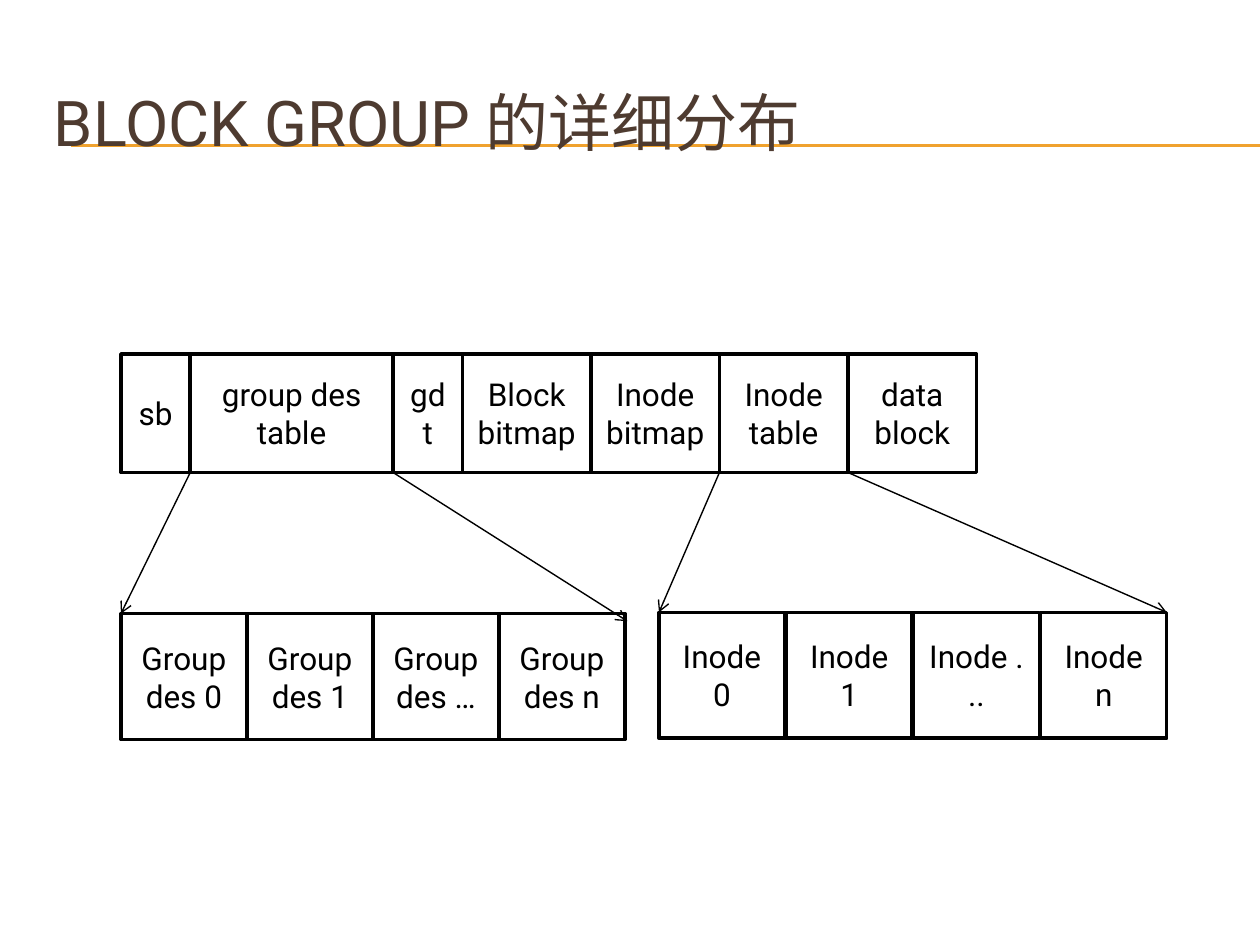
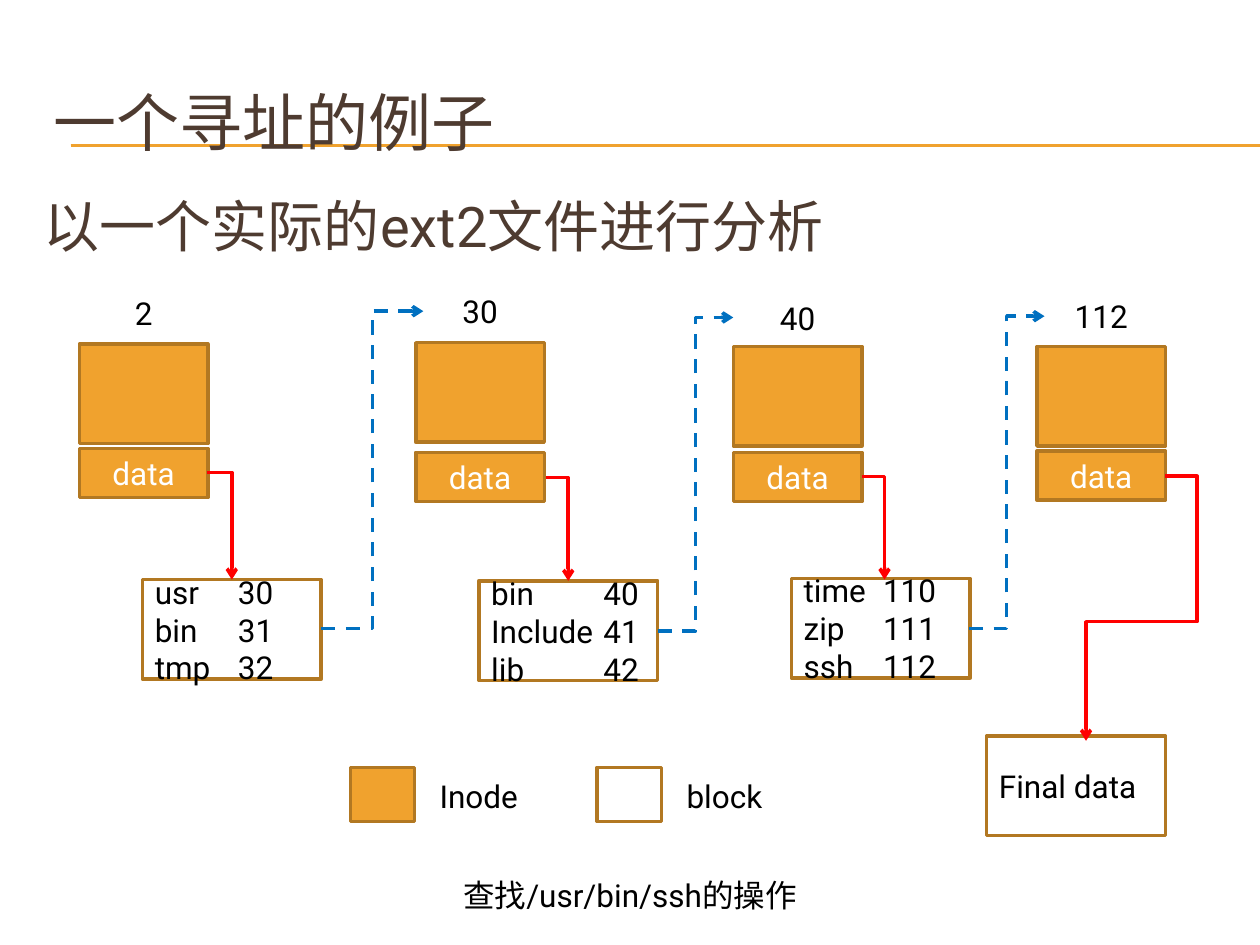
from itertools import accumulate

from lxml.etree import SubElement
from pptx import Presentation
from pptx.dml.color import RGBColor as RGB
from pptx.enum.dml import MSO_LINE
from pptx.enum.shapes import MSO_CONNECTOR as Conn, MSO_SHAPE as Shape
from pptx.enum.text import MSO_ANCHOR as Anchor, PP_ALIGN as Align
from pptx.oxml.ns import qn
from pptx.util import Inches, Pt

# ---- Content ----
BLOCK_GROUP = {
    "title": "BLOCK GROUP 的详细分布",
    "layout": [("sb", 0.55), ("group des table", 1.61), ("gdt", 0.55),
               ("Block bitmap", 1.02), ("Inode bitmap", 1.02),
               ("Inode table", 1.02), ("data block", 1.02)],
    # x, y, pitch, labels
    "details": [
        (0.96, 4.87, 1, ["Group des 0", "Group des 1", "Group des …", "Group des n"]),
        (5.23, 4.86, 1.01, ["Inode 0", "Inode 1", "Inode ...", "Inode n"]),
    ],
    # index of the expanded part, arrow tips on its left and right
    "expansions": [(1, (0.96, 4.87), (4.98, 4.93)),
                   (5, (5.23, 4.86), (9.26, 4.86))],
}
LOOKUP = {
    "title": "一个寻址的例子",
    "body": "以一个实际的ext2文件进行分析",
    "caption": "查找/usr/bin/ssh的操作",
    # inode number, x, top of number, inode and data field
    "inodes": [("2", 0.63, 2.28, 2.73, 3.56), ("30", 3.3, 2.27, 2.72, 3.59),
               ("40", 5.82, 2.32, 2.75, 3.59), ("112", 8.23, 2.31, 2.75, 3.58)],
    # x, y, tab stop, directory entries
    "blocks": [
        (1.13, 4.6, 0.66, [("usr", "30"), ("bin", "31"), ("tmp", "32")]),
        (3.8, 4.61, 0.89, [("bin", "40"), ("Include", "41"), ("lib", "42")]),
        (6.28, 4.59, 0.63, [("time", "110"), ("zip", "111"), ("ssh", "112")]),
    ],
    # red pointers: data field to block
    "pointers": [((1.64, 3.75), (1.84, 4.6)), ((4.33, 3.79), (4.51, 4.61)),
                 ((6.84, 3.78), (7.02, 4.6))],
    # blue jumps: directory entry to the next inode number
    "jumps": [((2.55, 4.99), (3.36, 2.47)), ((5.22, 5.01), (5.82, 2.52)),
              ((7.69, 4.99), (8.29, 2.51))],
    "final": ("Final data", 7.83, 5.84),
    "final_pointer": ((9.25, 3.78), (8.62, 5.88)),
    "legend": [("Inode", 2.78, "accent"), ("block", 4.74, "white")],
}


# ---- Theme ----
class Theme:
    font = "Roboto"
    title, body, text = 36, 32, 18
    box_line, arrow_line, rule_line = 2, 0.79, 0.75
    color = {name: RGB.from_string(code) for name, code in {
        "accent": "F0A22E", "edge": "B27822", "heading": "4E3B30",
        "black": "000000", "white": "FFFFFF", "red": "FF0000", "blue": "0070C0",
    }.items()}


INODE_W, INODE_H, DATA_H = 1.02, 0.79, 0.39
BLOCK_W, BLOCK_H = 1.42, 0.79


# ---- Helpers ----
def write(sp, lines, size=Theme.text, color="black", align=Align.LEFT,
          anchor=Anchor.MIDDLE, tab=None):
    tf = sp.text_frame
    for name, value in {"word_wrap": True, "vertical_anchor": anchor}.items():
        setattr(tf, name, value)
    for i, line in enumerate(lines):
        p = tf.paragraphs[0] if i == 0 else tf.add_paragraph()
        p.alignment = align
        if tab:
            tabs = SubElement(p._p.get_or_add_pPr(), qn("a:tabLst"))
            SubElement(tabs, qn("a:tab"), pos=str(Inches(tab)), algn="l")
        r = p.add_run()
        r.text = line
        for name, value in {"name": Theme.font, "size": Pt(size)}.items():
            setattr(r.font, name, value)
        r.font.color.rgb = Theme.color[color]


def add_text(slide, text, x, y, w, h, **fmt):
    sp = slide.shapes.add_textbox(*map(Inches, (x, y, w, h)))
    write(sp, [text], **fmt)


def add_box(slide, x, y, w, h, lines=(), fill=None, line="edge", **fmt):
    sp = slide.shapes.add_shape(Shape.RECTANGLE, *map(Inches, (x, y, w, h)))
    sp.shadow.inherit = False
    if fill:
        sp.fill.solid()
        sp.fill.fore_color.rgb = Theme.color[fill]
    else:
        sp.fill.background()
    sp.line.color.rgb = Theme.color[line]
    sp.line.width = Pt(Theme.box_line)
    write(sp, lines, **fmt)


def add_line(slide, start, end, color, width, arrow=True, dash=None,
             preset=None, adjust=()):
    kind = Conn.ELBOW if preset else Conn.STRAIGHT
    cx = slide.shapes.add_connector(kind, *map(Inches, (*start, *end)))
    cx.line.color.rgb = Theme.color[color]
    cx.line.width = Pt(width)
    if dash:
        cx.line.dash_style = dash
    props = cx._element.spPr
    if arrow:
        SubElement(props.find(qn("a:ln")), qn("a:tailEnd"), type="arrow")
    SubElement(props, qn("a:effectLst"))
    if preset:
        geom = props.find(qn("a:prstGeom"))
        geom.set("prst", preset)
        guides = geom.find(qn("a:avLst"))
        for i, value in enumerate(adjust, 1):
            SubElement(guides, qn("a:gd"), name=f"adj{i}",
                       fmla=f"val {round(value * 100000)}")


def new_slide(prs, title):
    slide = prs.slides.add_slide(prs.slide_layouts[6])
    for y in (1.15, 1.15, 1.16):
        add_line(slide, (0.56, y), (10, y), "accent", Theme.rule_line, arrow=False)
    add_text(slide, title, 0.33, 0.5, 9.5, 0.92, size=Theme.title, color="heading")
    return slide


# ---- Slide 1: block group layout ----
def build_block_group(prs, c):
    slide = new_slide(prs, c["title"])
    top, height = 2.81, 0.94
    edges = list(accumulate((w for _, w in c["layout"]), initial=0.96))
    cell = {"line": "black", "align": Align.CENTER}
    for (label, w), x in zip(c["layout"], edges):
        add_box(slide, x, top, w, height, [label], **cell)
    for x, y, pitch, labels in c["details"]:
        for i, label in enumerate(labels):
            add_box(slide, x + i * pitch, y, 1, 1, [label], **cell)
    for part, *tips in c["expansions"]:
        for x, tip in zip(edges[part:part + 2], tips):
            add_line(slide, (x, top + height), tip, "black", Theme.arrow_line)


# ---- Slide 2: path lookup ----
def build_lookup(prs, c):
    slide = new_slide(prs, c["title"])
    add_text(slide, c["body"], 0.25, 1.47, 9.5, 0.63, size=Theme.body,
             color="heading", anchor=Anchor.TOP)

    # Inodes with number and data field
    for number, x, number_y, inode_y, data_y in c["inodes"]:
        add_text(slide, number, x, number_y, INODE_W, 0.4, align=Align.CENTER)
        add_box(slide, x, inode_y, INODE_W, INODE_H, fill="accent")
        add_box(slide, x, data_y, INODE_W, DATA_H, ["data"], fill="accent",
                color="white", align=Align.CENTER)

    # Directory blocks and the file's data
    for x, y, tab, entries in c["blocks"]:
        add_box(slide, x, y, BLOCK_W, BLOCK_H, map("\t".join, entries),
                fill="white", tab=tab)
    label, x, y = c["final"]
    add_box(slide, x, y, BLOCK_W, BLOCK_H, [label], fill="white")

    # Pointers and jumps
    for start, end in c["pointers"]:
        add_line(slide, start, end, "red", Theme.box_line, preset="bentConnector2")
    for start, end in c["jumps"]:
        add_line(slide, start, end, "blue", Theme.box_line, dash=MSO_LINE.DASH,
                 preset="bentConnector3", adjust=[0.5])
    add_line(slide, *c["final_pointer"], "red", Theme.box_line,
             preset="bentConnector4", adjust=[-0.4, 0.55])

    # Legend and caption
    for label, x, fill in c["legend"]:
        add_box(slide, x, 6.09, 0.51, 0.43, fill=fill)
        add_text(slide, label, x + 0.61, 6.12, 0.82, 0.4)
    add_text(slide, c["caption"], 0.63, 6.9, 8.74, 0.4, align=Align.CENTER)


prs = Presentation()
prs.slide_width, prs.slide_height = Inches(10), Inches(7.5)
build_block_group(prs, BLOCK_GROUP)
build_lookup(prs, LOOKUP)
prs.save("out.pptx")
